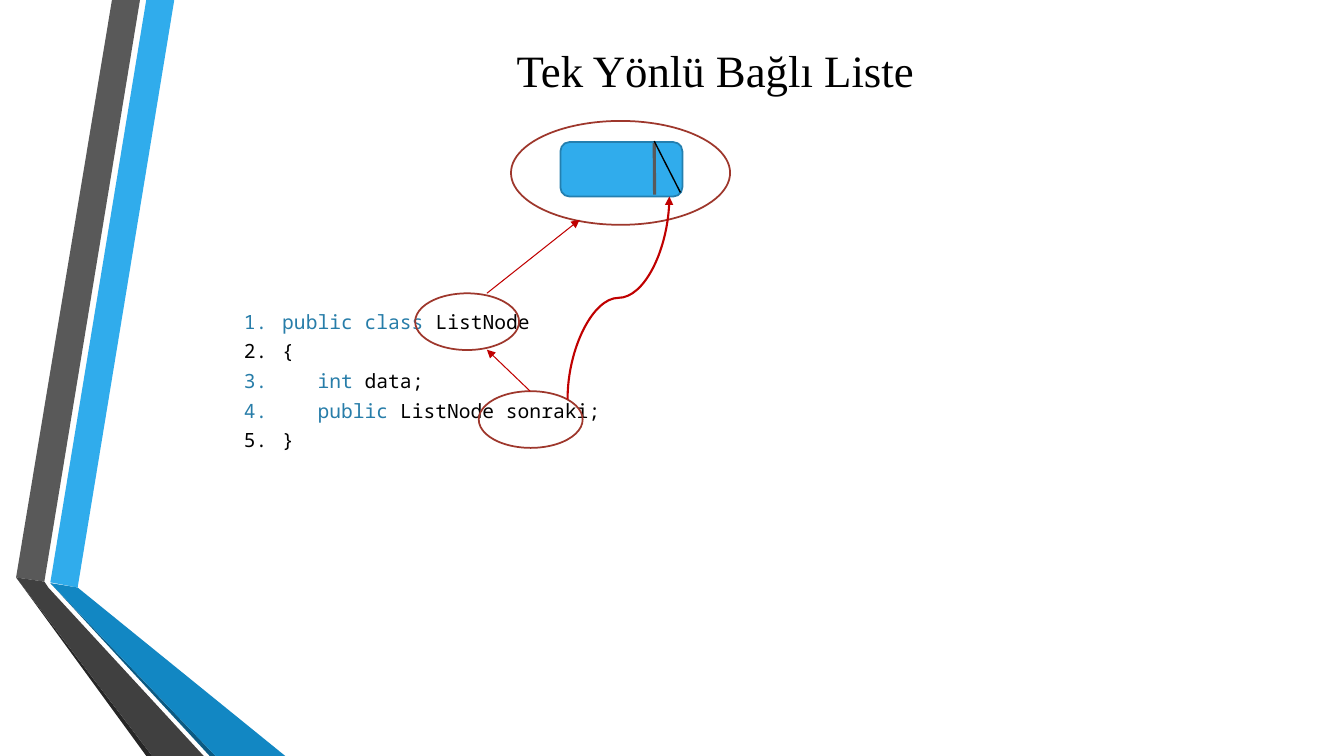
import dataclasses

import lxml.etree
import pptx
import pptx.dml.color
import pptx.enum.shapes
import pptx.enum.text
import pptx.oxml.ns
import pptx.util

Pt = pptx.util.Pt
qn = pptx.oxml.ns.qn
SHAPE = pptx.enum.shapes.MSO_SHAPE
CONNECTOR = pptx.enum.shapes.MSO_CONNECTOR
ANCHOR = pptx.enum.text.MSO_ANCHOR
ALIGN = pptx.enum.text.PP_ALIGN
AUTO_SIZE = pptx.enum.text.MSO_AUTO_SIZE


@dataclasses.dataclass(frozen=True)
class Theme:
    blue: str = "30ACEC"
    blue_mid: str = "1287C3"
    blue_dark: str = "0C5A82"
    blue_edge: str = "247FAF"
    gray: str = "595959"
    gray_mid: str = "404040"
    gray_dark: str = "262626"
    keyword: str = "277DA9"
    text: str = "000000"
    ring: str = "9E372C"
    arrow: str = "C00000"
    title_font: str = "Times New Roman"
    code_font: str = "Noto Sans Mono"
    title_size: int = 32
    code_size: int = 14


THEME = Theme()

RIBBONS = [
    (THEME.blue, [(36, 416), (55.5, 419.7), (124.5, 0), (104.5, 0)]),
    (THEME.gray, [(100, 0), (80, 0), (11.5, 412.5), (31.7, 415.5)]),
    (THEME.gray_dark, [(11.5, 412.5), (104.5, 540), (108.7, 540)]),
    (THEME.blue_dark, [(36, 416.5), (149.8, 540), (154, 540)]),
    (THEME.blue_mid, [(36, 416.5), (154, 540), (203.8, 540), (55.5, 419.7)]),
    (THEME.gray_mid, [(145.5, 540), (34.5, 419.7), (31.7, 415.5),
                      (11.5, 412.5), (108.7, 540)]),
]

# Nesting depth, keyword, remainder of the code line
CODE = [
    (0, "public class ", "ListNode"),
    (0, "", "{"),
    (1, "int ", "data;"),
    (1, "public ", "ListNode sonraki;"),
    (0, "", "}"),
]
CODE_LEFT, NUMBER_WIDTH, NEST_WIDTH = 63.4, 27.4, 25.2

RINGS = [
    (365, 86.4, 156.5, 74.2),
    (296.6, 209.5, 74.2, 40.5),
    (342, 279.4, 74.2, 40.5),
]


def rgb(color):
    return pptx.dml.color.RGBColor.from_string(color)


def apply(obj, values):
    for name, value in values.items():
        setattr(obj, name, value)


def place(sp, left, top, width, height):
    apply(sp, {"left": Pt(left), "top": Pt(top),
               "width": Pt(width), "height": Pt(height)})


def paint(sp, fill=None, line=None, width=1.25):
    sp.shadow.inherit = False
    if fill:
        sp.fill.solid()
        sp.fill.fore_color.rgb = rgb(fill)
    else:
        sp.fill.background()
    if line:
        sp.line.color.rgb = rgb(line)
        sp.line.width = Pt(width)
    else:
        sp.line.fill.background()


def add_ribbon(slide, color, points):
    start, *rest = [(Pt(x), Pt(y)) for x, y in points]
    builder = slide.shapes.build_freeform(*start)
    builder.add_line_segments(rest, close=True)
    paint(builder.convert_to_shape(), fill=color)


def add_shape(slide, kind, box, **style):
    sp = slide.shapes.add_shape(kind, *map(Pt, box))
    paint(sp, **style)


def add_line(slide, begin, end, color, width, head=False,
             kind=CONNECTOR.STRAIGHT):
    cx = slide.shapes.add_connector(kind, *map(Pt, begin + end))
    cx.line.color.rgb = rgb(color)
    cx.line.width = Pt(width)
    if head:
        lxml.etree.SubElement(cx.line._get_or_add_ln(), qn("a:tailEnd"),
                              type="triangle")
    lxml.etree.SubElement(cx._element.spPr, qn("a:effectLst"))
    return cx


def add_run(p, text, font, size, color):
    r = p.add_run()
    r.text = text
    apply(r.font, {"name": font, "size": Pt(size)})
    r.font.color.rgb = rgb(color)


def number_line(p, number, depth):
    """Number a code line, keeping all numbers in one column."""
    nest = depth * NEST_WIDTH
    pPr = p._p.get_or_add_pPr()
    pPr.set("marL", str(Pt(CODE_LEFT + nest)))
    pPr.set("indent", str(-Pt(NUMBER_WIDTH + nest)))
    lxml.etree.SubElement(pPr, qn("a:buFont"), typeface=THEME.code_font)
    lxml.etree.SubElement(pPr, qn("a:buAutoNum"), type="arabicPeriod",
                          startAt=str(number))


def fill_title(sp):
    place(sp, 116.6, 12.2, 789, 75)
    tf = sp.text_frame
    apply(tf, {"vertical_anchor": ANCHOR.MIDDLE, "auto_size": AUTO_SIZE.NONE})
    p = tf.paragraphs[0]
    p.alignment = ALIGN.CENTER
    add_run(p, "Tek Yönlü Bağlı Liste", THEME.title_font, THEME.title_size,
            THEME.text)


def fill_code(sp):
    place(sp, 131, 180, 357, 185.8)
    tf = sp.text_frame
    apply(tf, {"vertical_anchor": ANCHOR.MIDDLE, "auto_size": AUTO_SIZE.NONE})
    for number, (depth, keyword, rest) in enumerate(CODE, 1):
        p = tf.paragraphs[0] if number == 1 else tf.add_paragraph()
        apply(p, {"level": 1, "alignment": ALIGN.JUSTIFY, "line_spacing": 0.9,
                  "space_before": Pt(0), "space_after": Pt(6)})
        number_line(p, number, depth)
        for text, color in ((keyword, THEME.keyword), (rest, THEME.text)):
            if text:
                add_run(p, text, THEME.code_font, THEME.code_size, color)


def draw_node(slide):
    add_shape(slide, SHAPE.ROUNDED_RECTANGLE, (400.3, 101.5, 87.1, 38.9),
              fill=THEME.blue, line=THEME.blue_edge)
    add_line(slide, (467.3, 102.2), (467.6, 139), THEME.gray, 2.25)
    add_line(slide, (486, 137.5), (467.3, 100.8), THEME.text, 1)


def draw_pointers(slide):
    for box in RINGS:
        add_shape(slide, SHAPE.OVAL, box, line=THEME.ring)
    add_line(slide, (347.8, 209.5), (414, 157), THEME.arrow, 0.75, head=True)
    add_line(slide, (378.7, 279.4), (347.8, 249.8), THEME.arrow, 0.75,
             head=True)
    # A quarter turn makes the curve leave and arrive vertically
    curve = add_line(slide, (514.1, 249.1), (369.4, 176.4), THEME.arrow, 1.5,
                     head=True, kind=CONNECTOR.CURVE)
    curve._element.spPr.xfrm.set("rot", str(90 * 60000))


def main():
    prs = pptx.Presentation()
    apply(prs, {"slide_width": Pt(960), "slide_height": Pt(540)})
    slide = prs.slides.add_slide(prs.slide_layouts[1])
    for color, points in RIBBONS:
        add_ribbon(slide, color, points)
    fill_title(slide.shapes.title)
    fill_code(slide.placeholders[1])
    draw_node(slide)
    draw_pointers(slide)
    prs.save("out.pptx")


if __name__ == "__main__":
    main()
